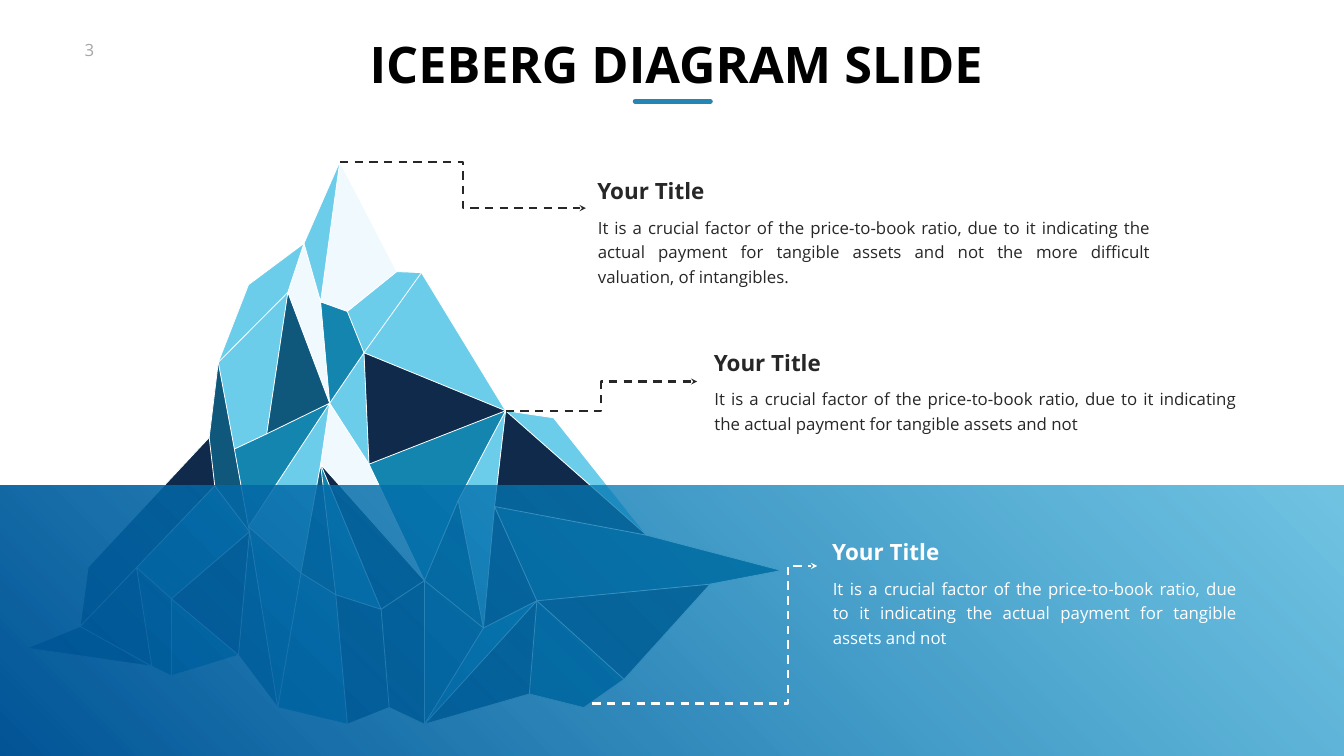
from lxml import etree
from pptx import Presentation
from pptx.dml.color import RGBColor
from pptx.enum.dml import MSO_LINE
from pptx.enum.shapes import MSO_CONNECTOR, MSO_SHAPE
from pptx.enum.text import MSO_ANCHOR, MSO_AUTO_SIZE, PP_ALIGN
from pptx.oxml.ns import qn
from pptx.util import Cm, Pt

FONT = "Open Sans"
WHITE = RGBColor(0xFF, 0xFF, 0xFF)
BLACK = RGBColor(0x00, 0x00, 0x00)
INK = RGBColor(0x27, 0x27, 0x27)
GRAY = RGBColor(0xA6, 0xA6, 0xA6)
ACCENT = RGBColor(0x25, 0x85, 0xB3)
DEEP = RGBColor(0x0F, 0x58, 0x7C)
NAVY = RGBColor(0x0F, 0x2A, 0x4B)
OCEAN = RGBColor(0x13, 0x85, 0xAE)
SKY = RGBColor(0x6C, 0xCD, 0xEB)
ICE = RGBColor(0xEF, 0xF9, 0xFE)
WATER_DARK = RGBColor(0x00, 0x54, 0x96)
WATER_LIGHT = RGBColor(0x0D, 0x99, 0xCE)

# Content: all places are in inches and pass through unit()
TITLE = "ICEBERG DIAGRAM SLIDE"
PAGE_NUMBER = "3"
HEADING = "Your Title"
SHORT_TEXT = ("It is a crucial factor of the price-to-book ratio, due to it "
              "indicating the actual payment for tangible assets and not")
LONG_TEXT = SHORT_TEXT + " the more difficult valuation, of intangibles."

# text, colour, body box (left, top, width, height), arrow from, to, bend
CALLOUTS = [
    (LONG_TEXT, INK, (11.62, 4.11, 11.43, 1.68), (6.74, 3.21), (11.62, 4.13), 0.5),
    (SHORT_TEXT, INK, (13.93, 7.51, 10.83, 1.19), (10.03, 8.15), (13.83, 7.57), 0.5),
    (SHORT_TEXT, WHITE, (16.28, 11.27, 8.49, 1.68), (11.75, 13.96), (16.21, 11.23), 0.87),
]

# Iceberg corners: lower case on the outline, clockwise from the peak; upper case inside
CORNERS = {
    "a": (6.74, 3.21), "b": (7.87, 5.39), "c": (8.36, 5.41), "d": (10.03, 8.15),
    "e": (10.98, 8.29), "f": (12.83, 10.62), "g": (15.5, 11.32), "h": (14.09, 11.59),
    "i": (12.38, 13.48), "j": (11.58, 14.04), "k": (10.5, 13.77), "l": (8.42, 14.37),
    "m": (7.72, 14.04), "n": (6.89, 14.37), "o": (5.51, 14.04), "p": (4.73, 13),
    "q": (3.4, 13.41), "r": (3.01, 13.22), "s": (0.54, 12.86), "t": (1.59, 12.43),
    "u": (1.75, 11.25), "v": (4.15, 8.68), "w": (4.33, 7.19), "x": (4.93, 5.65),
    "y": (6.03, 4.83),
    "A": (10.65, 11.92), "B": (9.81, 10.05), "C": (9.59, 12.46), "D": (9.09, 9.93),
    "E": (8.42, 11.52), "F": (7.56, 12.09), "G": (7.32, 9.21), "H": (7.22, 7),
    "I": (6.89, 6.18), "J": (6.36, 5.99), "K": (6.54, 8), "L": (6.36, 9.21),
    "M": (6.66, 11.8), "N": (5.97, 11.37), "O": (5.71, 5.8), "P": (5.29, 8.61),
    "Q": (4.93, 10.45), "R": (4.65, 8.91), "S": (4.95, 10.55), "T": (4.26, 9.64),
    "U": (2.71, 11.26), "V": (3.4, 11.88),
}
FACETS = [
    (DEEP, "ghABf ijkA DCE ClE LMN OKP Sop QSTvwR VqrU"),
    (NAVY, "hiA fBd BAC Akl dGH ElmF EFL FmnM SpV vTUtu Urt rst"),
    (OCEAN, "AlC dDEG LFM IHKJ MnoN KQRP NoSQ TSVU pqV"),
    (SKY, "efd cdH dBCD cHIb HGK aJy KLNQ yOwx OPRw"),
    (ICE, "GELK abIJ JKOy"),
]
EDGES = ("ayxwvutsrqponmlkjihgfedcba VpSoNMn iAlECDdB lCABfd CB EFLE mFMLNQKPR OKL "
         "aJyOP OwRQSVq cHGdH bIJKGED KHI kAh VUrtUTv TS")


def unit(inches):
    return Cm(inches * 2.54)


def place(values):
    return [unit(value) for value in values]


def style_line(connector, color, width):
    connector.line.color.rgb = color
    connector.line.width = Pt(width)
    etree.SubElement(connector._element.spPr, qn("a:effectLst"))


def add_line(shapes, kind, start, end, color, width):
    connector = shapes.add_connector(kind, *place(start + end))
    style_line(connector, color, width)
    return connector


def add_outline(shapes, corners, closed):
    first, *rest = [tuple(place(CORNERS[corner])) for corner in corners]
    builder = shapes.build_freeform(*first)
    builder.add_line_segments(rest, close=closed)
    outline = builder.convert_to_shape()
    outline.shadow.inherit = False
    return outline


def write(shape, text, size, color, bold=False, wrap=False):
    frame = shape.text_frame
    frame.word_wrap = wrap
    frame.auto_size = MSO_AUTO_SIZE.NONE
    frame.text = text
    paragraph = frame.paragraphs[0]
    font = paragraph.font
    font.name, font.size, font.bold = FONT, Pt(size), bold
    font.color.rgb = color
    return frame, paragraph


def add_iceberg(slide):
    shapes = slide.shapes.add_group_shape().shapes
    for color, facets in FACETS:
        for corners in facets.split():
            facet = add_outline(shapes, corners, True)
            facet.fill.solid()
            facet.fill.fore_color.rgb = color
            facet.line.fill.background()
    for corners in EDGES.split():
        if len(corners) == 2:
            start, end = (CORNERS[corner] for corner in corners)
            add_line(shapes, MSO_CONNECTOR.STRAIGHT, start, end, WHITE, 1.13)
        else:
            edge = add_outline(shapes, corners, corners[0] == corners[-1])
            edge.fill.background()
            edge.line.color.rgb = WHITE
            edge.line.width = Pt(1.13)


def add_water(slide):
    water = slide.shapes.add_shape(MSO_SHAPE.RECTANGLE, *place((0, 9.64, 26.66, 5.36)))
    water.shadow.inherit = False
    water.line.fill.background()
    water.fill.gradient()
    water.fill.gradient_angle = 45
    for stop, color in zip(water.fill.gradient_stops, (WATER_DARK, WATER_LIGHT)):
        stop.color.rgb = color
    light = water._element.spPr.findall(".//" + qn("a:srgbClr"))[-1]
    etree.SubElement(light, qn("a:alpha"), val="59000")


def add_callout(slide, text, color, box, start, end, bend):
    arrow = add_line(slide.shapes, MSO_CONNECTOR.ELBOW, start, end, color, 3)
    arrow.line.dash_style = MSO_LINE.DASH
    etree.SubElement(arrow.line._get_or_add_ln(), qn("a:tailEnd"), type="stealth")
    adjustments = arrow._element.spPr.find(".//" + qn("a:avLst"))
    etree.SubElement(adjustments, qn("a:gd"), name="adj1", fmla=f"val {round(bend * 100000)}")

    left, top, _, _ = box
    heading = slide.shapes.add_textbox(*place((left + 0.13, top - 0.64, 2.35, 0.64)))
    frame, _ = write(heading, HEADING, 32, color, bold=True)
    frame.vertical_anchor = MSO_ANCHOR.MIDDLE

    body = slide.shapes.add_textbox(*place(box))
    frame, paragraph = write(body, text, 24, color, wrap=True)
    frame.margin_left = frame.margin_right = unit(0.24)
    frame.margin_top = frame.margin_bottom = unit(0.12)
    paragraph.alignment = PP_ALIGN.JUSTIFY
    paragraph.line_spacing = Pt(35)


def main():
    deck = Presentation()
    deck.slide_width, deck.slide_height = place((26.66, 15))
    slide = deck.slides.add_slide(deck.slide_layouts[5])

    # Page number
    number = slide.shapes.add_textbox(*place((1.58, 0.74, 0.75, 0.5)))
    write(number, PAGE_NUMBER, 24, GRAY)

    # Iceberg, water and callouts
    add_iceberg(slide)
    add_water(slide)
    for callout in CALLOUTS:
        add_callout(slide, *callout)

    # Title and its underline
    title = slide.shapes.title
    title.left, title.top, title.width, title.height = place((7.17, 0.65, 12.39, 1.21))
    frame, paragraph = write(title, TITLE, 72, BLACK, bold=True)
    frame.margin_left = unit(0.1)
    frame.margin_top = frame.margin_right = frame.margin_bottom = 0
    paragraph.alignment = PP_ALIGN.CENTER
    underline = add_line(slide.shapes, MSO_CONNECTOR.STRAIGHT, (12.6, 2.01), (14.09, 2.01), ACCENT, 7)
    underline.line._get_or_add_ln().set("cap", "rnd")

    deck.save("out.pptx")


if __name__ == "__main__":
    main()
